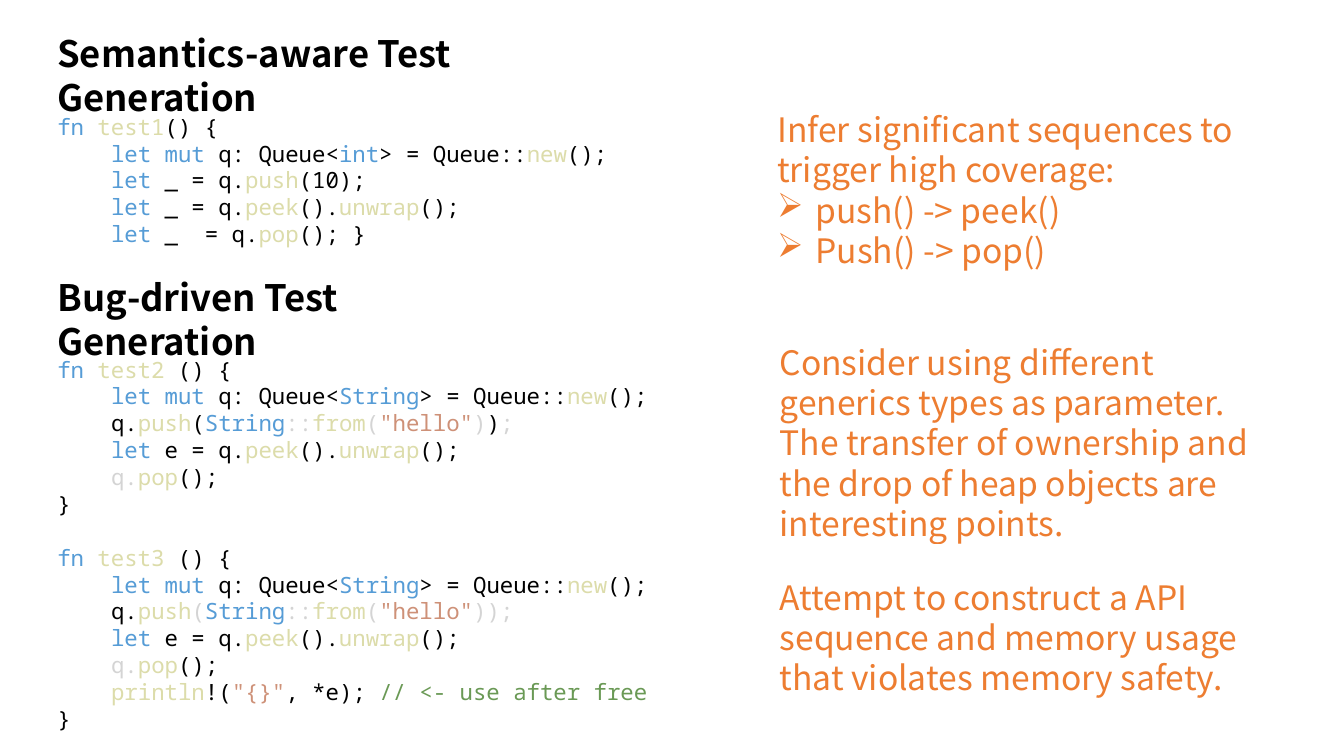
import pptx
import pptx.util
import pptx.dml.color
import pptx.enum.shapes
import pptx.enum.text
import pptx.oxml
import pptx.oxml.ns
from pptx.util import Inches

COLORS = {
    "plain": "000000", "keyword": "569CD6", "call": "DCDCAA", "faint": "D4D4D4",
    "string": "CE9178", "comment": "6A9955", "note": "ED7D31", "edge": "FFFFFF",
}
SANS, MONO = "Noto Sans CJK SC", "Noto Sans Mono"
CODE_SIZE = 16
LINE_RATIO = 1.2
LEFT, CODE_WIDTH, NOTE_LEFT = 0.47, 6.94, 7.42


class SlideBuilder:
    def __init__(self, deck):
        self.page = deck.slides.add_slide(deck.slide_layouts[6])

    def color(self, name):
        return pptx.dml.color.RGBColor.from_string(COLORS[name])

    def add_spans(self, para, spans, font, size, bold=False):
        """Fill a paragraph with (colour name, text) spans."""
        para.alignment = pptx.enum.text.PP_ALIGN.LEFT
        para.line_spacing = pptx.util.Pt(size * LINE_RATIO)
        for color, text in spans:
            span = para.add_run()
            span.text = text
            span.font.name = font
            span.font.size = pptx.util.Pt(size)
            span.font.bold = bold
            span.font.color.rgb = self.color(color)

    def indent(self, para, margin, first=0, bullet=None):
        props = para._p.get_or_add_pPr()
        props.set("marL", str(int(margin)))
        props.set("indent", str(int(first)))
        if bullet:
            mark = pptx.oxml.ns.qn("a:buChar")
            props.append(props.makeelement(mark, {"char": bullet}))

    def paragraphs(self, frame, count):
        return [frame.paragraphs[0]] + [frame.add_paragraph() for _ in range(count - 1)]

    def text_frame(self, top, width, height):
        box = self.page.shapes.add_textbox(
            Inches(LEFT), Inches(top), Inches(width), Inches(height))
        box.text_frame.word_wrap = True
        box.text_frame.auto_size = pptx.enum.text.MSO_AUTO_SIZE.SHAPE_TO_FIT_TEXT
        return box.text_frame

    def heading(self, text, top, width):
        frame = self.text_frame(top, width, 0.54)
        self.add_spans(frame.paragraphs[0], [("plain", text)], SANS, 26, bold=True)

    def code(self, functions, top, height):
        """Set each function in turn, with its body indented by four characters."""
        lines = [(number, depth, spans)
                 for number, function in enumerate(functions)
                 for depth, spans in function]
        frame = self.text_frame(top, CODE_WIDTH, height)
        current = 0
        for para, (number, depth, spans) in zip(self.paragraphs(frame, len(lines)), lines):
            self.add_spans(para, spans, MONO, CODE_SIZE)
            self.indent(para, pptx.util.Pt(depth * 4 * 0.6 * CODE_SIZE))
            if number != current:
                para.space_before = pptx.util.Pt(CODE_SIZE * LINE_RATIO)
                current = number

    def note(self, text, top, width, height, bullets=()):
        plaque = self.page.shapes.add_shape(
            pptx.enum.shapes.MSO_SHAPE.PLAQUE,
            Inches(NOTE_LEFT), Inches(top), Inches(width), Inches(height))
        plaque.shadow.inherit = False
        plaque.fill.background()
        plaque.line.color.rgb = self.color("edge")
        plaque.line.width = pptx.util.Pt(1.5)
        frame = plaque.text_frame
        frame.word_wrap = True
        frame.vertical_anchor = pptx.enum.text.MSO_ANCHOR.MIDDLE
        first, *rest = self.paragraphs(frame, 1 + len(bullets))
        self.add_spans(first, [("note", text)], SANS, 24)
        for para, bullet in zip(rest, bullets):
            self.add_spans(para, [("note", bullet)], SANS, 24)
            self.indent(para, Inches(0.38), -Inches(0.38), "➢")


def opening(name, gap=""):
    return 0, [("keyword", "fn "), ("call", name + gap), ("plain", "() {")]


def new_queue(item):
    return 1, [("keyword", "let mut "), ("plain", "q: Queue<"), ("keyword", item),
               ("plain", "> = Queue::"), ("call", "new"), ("plain", "();")]


def bind(target, method, tail):
    """A let statement that calls a method of the queue."""
    return 1, [("keyword", "let "), ("plain", target + " = q."), ("call", method)] + tail


def push_hello(opener, closers):
    return 1, [("plain", "q."), ("call", "push"), (opener, "("), ("keyword", "String"),
               ("faint", "::"), ("call", "from"), ("faint", "("),
               ("string", '"hello"')] + closers


UNWRAP = [("plain", "()."), ("call", "unwrap"), ("plain", "();")]
POP = (1, [("faint", "q."), ("call", "pop"), ("plain", "();")])
CLOSING = (0, [("plain", "}")])
PRINT_FREED = (1, [("call", "println"), ("plain", "!("), ("string", '"{}"'),
                   ("plain", ", *e); "), ("comment", "// <- use after free")])

TEST1 = [
    opening("test1"), new_queue("int"),
    bind("_", "push", [("plain", "(10);")]),
    bind("_", "peek", UNWRAP),
    bind("_ ", "pop", [("plain", "(); }")]),
]
TEST2 = [
    opening("test2", " "), new_queue("String"),
    push_hello("plain", [("faint", ")"), ("plain", ")"), ("faint", ";")]),
    bind("e", "peek", UNWRAP), POP, CLOSING,
]
TEST3 = [
    opening("test3", " "), new_queue("String"),
    push_hello("faint", [("faint", "));")]),
    bind("e", "peek", UNWRAP), POP, PRINT_FREED, CLOSING,
]


def main():
    deck = pptx.Presentation()
    deck.slide_width, deck.slide_height = Inches(13.33), Inches(7.5)
    slide = SlideBuilder(deck)

    slide.heading("Semantics-aware Test Generation", 0.26, 5.77)
    slide.code([TEST1], 1.07, 1.45)
    slide.note("Infer significant sequences to trigger high coverage:",
               1.07, 5.44, 1.62, ["push() -> peek()", "Push() -> pop()"])

    slide.heading("Bug-driven Test Generation", 2.68, 4.8)
    slide.code([TEST2, TEST3], 3.48, 3.87)
    slide.note("Consider using different generics types as parameter. "
               "The transfer of ownership and the drop of heap objects are "
               "interesting points.", 3.48, 5.68, 1.82)
    slide.note("Attempt to construct a API sequence and memory usage "
               "that violates memory safety.", 5.41, 5.68, 1.82)
    deck.save("out.pptx")


if __name__ == "__main__":
    main()
